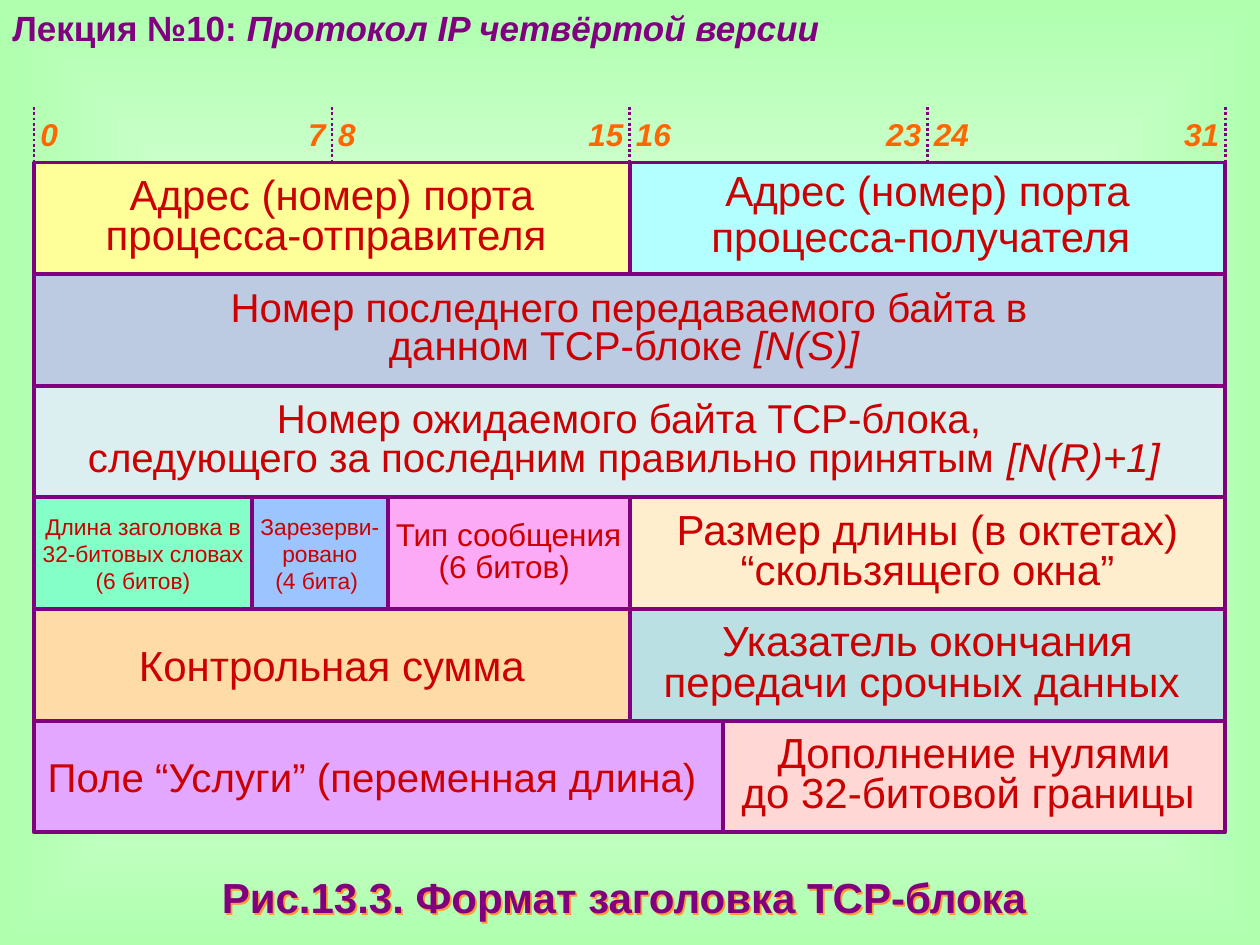
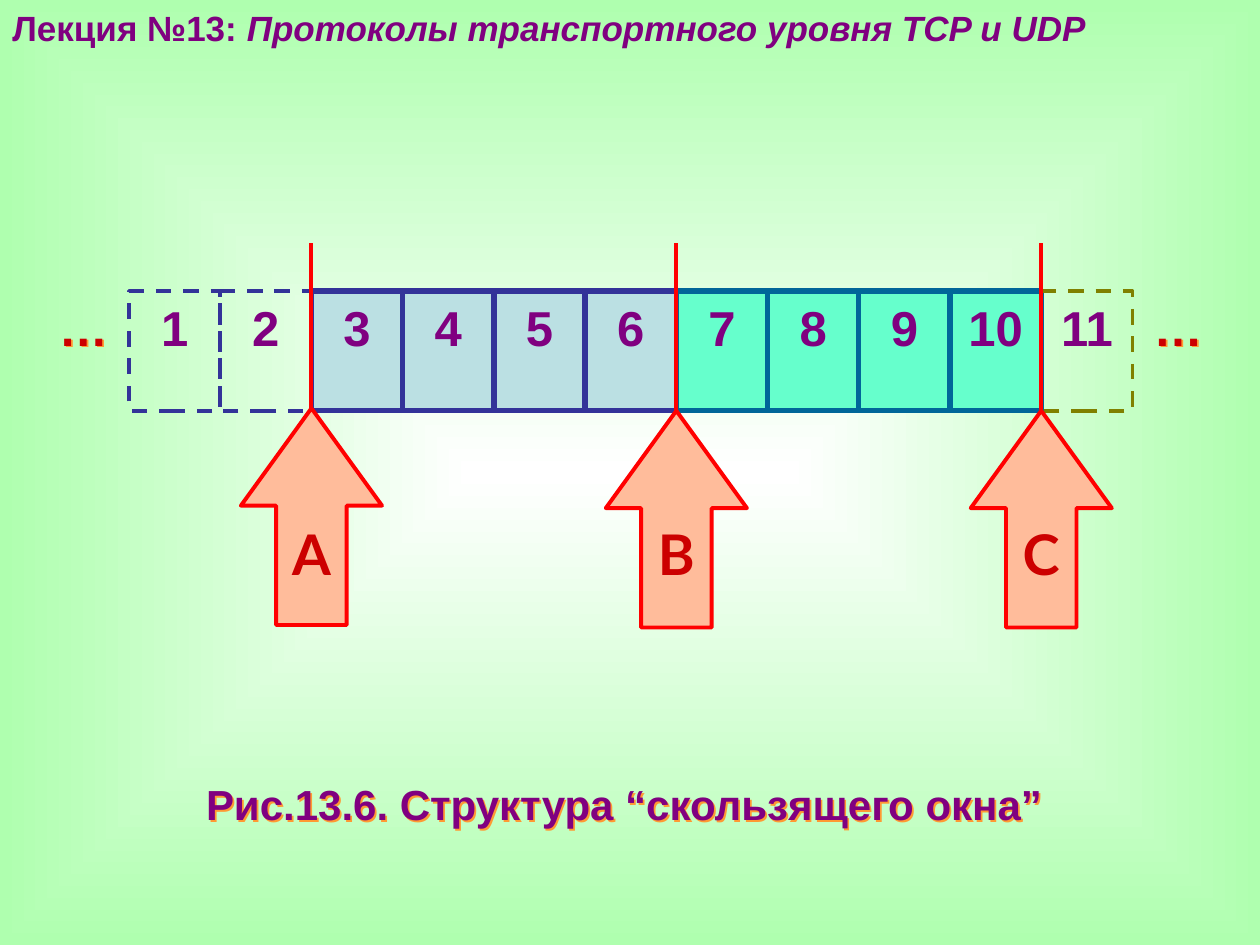
from lxml import etree
from pptx import Presentation
from pptx.dml.color import RGBColor
from pptx.enum.dml import MSO_LINE_DASH_STYLE as DASH
from pptx.enum.shapes import MSO_CONNECTOR, MSO_SHAPE
from pptx.enum.text import MSO_ANCHOR as ANCHOR, PP_ALIGN as ALIGN
from pptx.oxml import parse_xml
from pptx.oxml.ns import nsdecls, qn
from pptx.util import Inches as I, Pt

W, H = 10, 7.5
PURPLE, RED, ARROW_RED, ORANGE = "800080", "CC0000", "FF0000", "FF6600"
rgb = RGBColor.from_string

BACKGROUND = f"""<p:bg {nsdecls('p', 'a')}><p:bgPr><a:gradFill rotWithShape="0"><a:gsLst>
<a:gs pos="0"><a:srgbClr val="FFFFFF"/></a:gs><a:gs pos="100000"><a:srgbClr val="AFFFAF"/></a:gs></a:gsLst>
<a:path path="shape"><a:fillToRect l="50000" t="50000" r="50000" b="50000"/></a:path>
</a:gradFill><a:effectLst/></p:bgPr></p:bg>"""
TEXT_SHADOW = f"""<a:effectLst {nsdecls('a')}><a:outerShdw dist="18000" dir="2700000" algn="ctr" rotWithShape="0">
<a:srgbClr val="FF9933"/></a:outerShdw></a:effectLst>"""


def paint(shape, line, width, fill=None, dash=None):
    shape.line.color.rgb = rgb(line)
    shape.line.width = Pt(width)
    if dash:
        shape.line.dash_style = dash
    if fill:
        shape.fill.solid()
        shape.fill.fore_color.rgb = rgb(fill)
    elif hasattr(shape, "fill"):
        shape.fill.background()
    etree.SubElement(shape._element.spPr, qn("a:effectLst"))


def write(shape, paragraphs, size, color, bold=False, spacing=None, align=ALIGN.CENTER,
          anchor=ANCHOR.MIDDLE, insets=(0, 0), font="Arial"):
    """A paragraph is a string or a list of (text, italic, size) runs."""
    tf = shape.text_frame
    tf.word_wrap = True
    tf.vertical_anchor = anchor
    tf.margin_left = tf.margin_right = I(insets[0])
    tf.margin_top = tf.margin_bottom = I(insets[1])
    for i, runs in enumerate(paragraphs):
        p = tf.add_paragraph() if i else tf.paragraphs[0]
        p.alignment = align
        if spacing:
            p.line_spacing = spacing
        for text, italic, run_size in [(runs, False, size)] if isinstance(runs, str) else runs:
            r = p.add_run()
            r.text = text
            r.font.name, r.font.size = font, Pt(run_size)
            r.font.bold, r.font.italic = bold, italic
            r.font.color.rgb = rgb(color)


prs = Presentation()
prs.slide_width, prs.slide_height = I(W), I(H)

# Background, lecture title and figure caption on every slide
slides = []
for lecture, topic, title_w, caption, caption_top in [
    ("Лекция №10: ", "Протокол IP четвёртой версии", 6.77,
     "Рис.13.3. Формат заголовка ТСР-блока ", 6.87),
    ("Лекция №13: ", "Протоколы транспортного уровня TCP и UDP", 9.03,
     "Рис.13.6. Структура “скользящего окна” ", 6.13),
]:
    s = prs.slides.add_slide(prs.slide_layouts[6])
    s._element.cSld.insert(0, parse_xml(BACKGROUND))
    sp = s.shapes.add_textbox(0, 0, I(title_w), I(0.43))
    write(sp, [[(lecture, False, 20), (topic, True, 20)]], 20, PURPLE, True,
          align=ALIGN.LEFT, anchor=ANCHOR.TOP, insets=(0.1, 0.05))
    sp = s.shapes.add_textbox(0, I(caption_top), I(W), I(0.5))
    sp._element.spPr.append(parse_xml(TEXT_SHADOW))
    write(sp, [caption], 24, PURPLE, True)
    slides.append(s)

# Slide 1: bit ruler over a 32-bit grid
s = slides[0]
LEFT, TOP, ROW = 0.27, 1.29, 0.886
BIT = 9.455 / 32
RULER_TOP = 0.85

for bit in range(0, 33, 8):
    x = I(LEFT + bit * BIT)
    paint(s.shapes.add_connector(MSO_CONNECTOR.STRAIGHT, x, I(RULER_TOP), x, I(1.44)),
          PURPLE, 1.5, dash=DASH.ROUND_DOT)
for bit in range(0, 32, 8):
    for half, number, align in [(0, bit, ALIGN.LEFT), (4, bit + 7, ALIGN.RIGHT)]:
        sp = s.shapes.add_textbox(I(LEFT + (bit + half) * BIT), I(RULER_TOP), I(4 * BIT), I(0.42))
        write(sp, [[(str(number), True, 18)]], 18, ORANGE, True, align=align, insets=(0.05, 0))

# Header fields: row, first bit, end bit, fill, text size, line spacing, paragraphs
fields = [
    (0, 0, 16, "FFFF99", 24, 0.8, ["Адрес (номер) порта", "процесса-отправителя "]),
    (0, 16, 32, "B3FFFF", 24, 0.8,
     ["Адрес (номер) порта", [("процесса-получателя", False, 24), (" ", False, 28)]]),
    (1, 0, 32, "BCCAE2", 23, 0.8,
     ["Номер последнего передаваемого байта в",
      [("данном ТСР-блоке ", False, 23), ("[N(S)] ", True, 23)]]),
    (2, 0, 32, "DCEFF0", 23, 0.8,
     ["Номер ожидаемого байта ТСР-блока,",
      [("следующего за последним правильно принятым ", False, 23), ("[N(R)+1] ", True, 23)]]),
    (3, 0, 5.85, "85FFC8", 13, None, ["Длина заголовка в 32-битовых словах", "(6 битов)"]),
    (3, 5.85, 9.5, "9CC4FE", 13, None, ["Зарезерви-ровано", "(4 бита) "]),
    (3, 9.5, 16, "FCAAF6", 18, 0.85, ["Тип сообщения", "(6 битов) "]),
    (3, 16, 32, "FEEECE", 24, 0.8, ["Размер длины (в октетах)", "“скользящего окна”"]),
    (4, 0, 16, "FFDBA7", 24, None, ["Контрольная сумма"]),
    (4, 16, 32, "BBE0E3", 24, 0.8, ["Указатель окончания передачи срочных данных "]),
    (5, 0, 18.5, "E4A7FF", 23, None, ["Поле “Услуги” (переменная длина) "]),
    (5, 18.5, 32, "FFD8D5", 24, 0.8, ["Дополнение нулями", "до 32-битовой границы "]),
]
for row, start, end, fill, size, spacing, paragraphs in fields:
    sp = s.shapes.add_shape(MSO_SHAPE.RECTANGLE, I(LEFT + start * BIT), I(TOP + row * ROW),
                            I((end - start) * BIT), I(ROW))
    paint(sp, PURPLE, 2.25, fill)
    write(sp, paragraphs, size, RED, spacing=spacing)

# Slide 2: numbered blocks, the window covers 3 to 10
s = slides[1]
STRIP_LEFT, STRIP_TOP, CELL_W, CELL_H = 0.3, 2.31, 0.724, 0.95

for n in [*range(3, 12), 2, 1]:
    sp = s.shapes.add_shape(MSO_SHAPE.RECTANGLE, I(STRIP_LEFT + n * CELL_W), I(STRIP_TOP),
                            I(CELL_W), I(CELL_H))
    if n < 3 or n > 10:
        paint(sp, "333399" if n < 3 else "808000", 2.25, dash=DASH.DASH)
    elif n < 7:
        paint(sp, "333399", 3, "BBE0E3")
    else:
        paint(sp, "006699", 3, "66FFCC")
    write(sp, [str(n)], 28, PURPLE, True, anchor=ANCHOR.TOP, insets=(0.1, 0.05))

# Ellipses at both ends of the strip
for n in (0, 12):
    sp = s.shapes.add_textbox(I(STRIP_LEFT + n * CELL_W), I(STRIP_TOP), I(CELL_W), I(CELL_H))
    sp._element.spPr.append(parse_xml(TEXT_SHADOW))
    write(sp, ["…"], 28, RED, True, anchor=ANCHOR.TOP, insets=(0.1, 0.05))

# Window borders with lettered arrows
ARROW_W, LETTER_W = 1.12, 0.36
for n, letter, arrow_top in [(3, "А", 3.24), (7, "В", 3.26), (11, "С", 3.26)]:
    x = STRIP_LEFT + n * CELL_W
    paint(s.shapes.add_connector(MSO_CONNECTOR.STRAIGHT, I(x), I(1.93), I(x), I(STRIP_TOP + CELL_H)),
          ARROW_RED, 2.25)
    sp = s.shapes.add_shape(MSO_SHAPE.UP_ARROW, I(x - ARROW_W / 2), I(arrow_top), I(ARROW_W), I(1.72))
    sp.adjustments[0], sp.adjustments[1] = 0.5, 0.69
    paint(sp, ARROW_RED, 2.25, "FFBC9B")
    sp = s.shapes.add_textbox(I(x - LETTER_W / 2), I(4.12), I(LETTER_W), I(0.86))
    write(sp, [letter], 32, RED, True, anchor=ANCHOR.TOP, font="Lato")

prs.save("out.pptx")
